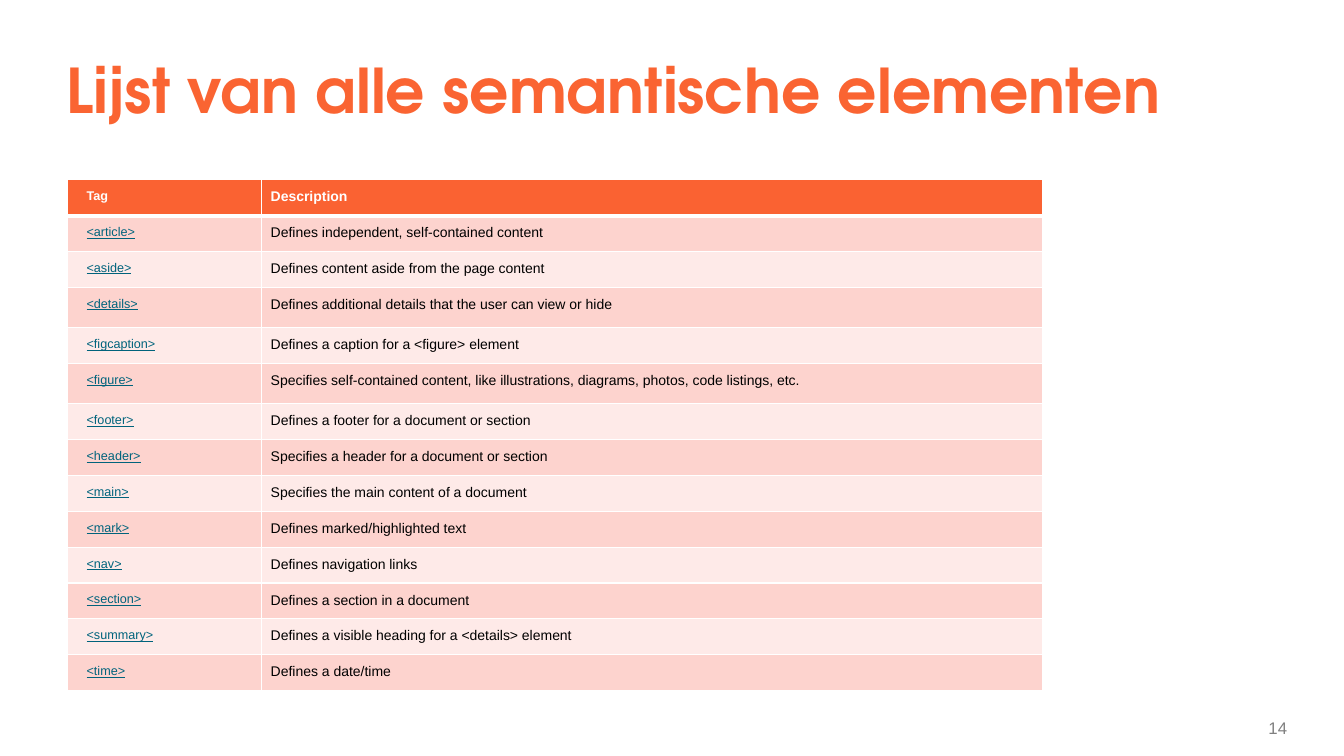
from lxml import etree
from pptx import Presentation
from pptx.dml.color import RGBColor
from pptx.enum.text import MSO_ANCHOR, PP_ALIGN
from pptx.oxml.ns import qn
from pptx.util import Pt

MIDDLE = MSO_ANCHOR.MIDDLE
LEFT, RIGHT = PP_ALIGN.LEFT, PP_ALIGN.RIGHT

# Content
TITLE = "Lijst van alle semantische elementen"
NUMBER = "14"
HEADS = ("Tag", "Description")
TAGS = [
    ("<article>", "Defines independent, self-contained content"),
    ("<aside>", "Defines content aside from the page content"),
    ("<details>", "Defines additional details that the user can view or hide"),
    ("<figcaption>", "Defines a caption for a <figure> element"),
    ("<figure>", "Specifies self-contained content, like illustrations, "
                 "diagrams, photos, code listings, etc."),
    ("<footer>", "Defines a footer for a document or section"),
    ("<header>", "Specifies a header for a document or section"),
    ("<main>", "Specifies the main content of a document"),
    ("<mark>", "Defines marked/highlighted text"),
    ("<nav>", "Defines navigation links"),
    ("<section>", "Defines a section in a document"),
    ("<summary>", "Defines a visible heading for a <details> element"),
    ("<time>", "Defines a date/time"),
]
TALL = {"<details>", "<figure>"}

# Theme
THEME = {
    "title": "FA6432", "head": "FA6232", "bands": ("FEEAE8", "FDD3CE"),
    "link": "00637C", "text": "000000", "white": "FFFFFF", "grey": "808080",
    "face": "TeX Gyre Adventor", "body": "Arial",
    "big": 44, "small": 12, "sizes": (9, 10),
}

# Table measures in points
COLS = (138.2, 558)
ROW, HIGH = 25.6, 28.8
PAD, INDENT = 6.7, 13.4
THIN, THICK = 1, 3


def write(frame, text, size, color, font=THEME["body"], bold=False,
          line=False, align=LEFT, space=None):
    para = frame.paragraphs[0]
    para.alignment = align
    if space:
        para.line_spacing = space
    run = para.add_run()
    run.text = text
    run.font.size = Pt(size)
    run.font.name = font
    run.font.bold = bold
    run.font.underline = line
    run.font.color.rgb = RGBColor.from_string(color)


def add_box(slide, left, top, width, height, inset):
    box = slide.shapes.add_textbox(Pt(left), Pt(top), Pt(width), Pt(height))
    frame = box.text_frame
    frame.word_wrap = True
    frame.vertical_anchor = MIDDLE
    frame.margin_right = Pt(inset)
    return frame


def set_edges(cell, top, bottom):
    props = cell._tc.get_or_add_tcPr()
    edges = {"a:lnL": THIN, "a:lnR": THIN, "a:lnT": top, "a:lnB": bottom}
    for place, (name, width) in enumerate(edges.items()):
        edge = etree.Element(qn(name), w=str(Pt(width)))
        fill = etree.SubElement(edge, qn("a:solidFill"))
        etree.SubElement(fill, qn("a:srgbClr"), val=THEME["white"])
        props.insert(place, edge)


def add_tags(slide):
    lines = [HEADS] + TAGS
    highs = [HIGH if tag in TALL else ROW for tag, _ in lines]
    table = slide.shapes.add_table(
        len(lines), len(COLS), Pt(48.5), Pt(128.5),
        Pt(sum(COLS)), Pt(sum(highs))).table
    for col, width in zip(table.columns, COLS):
        col.width = Pt(width)
    for row, line in enumerate(lines):
        table.rows[row].height = Pt(highs[row])
        head = row == 0
        fill = THEME["head"] if head else THEME["bands"][row % 2]
        for col, text in enumerate(line):
            cell = table.cell(row, col)
            cell.margin_left = Pt(PAD if col else INDENT)
            cell.margin_right = cell.margin_top = cell.margin_bottom = Pt(PAD)
            cell.fill.solid()
            cell.fill.fore_color.rgb = RGBColor.from_string(fill)
            set_edges(cell, THICK if row == 1 else THIN,
                      THICK if head else THIN)
            link = not head and col == 0
            color = THEME["white" if head else "link" if link else "text"]
            write(cell.text_frame, text, THEME["sizes"][col], color,
                  bold=head, line=link)


def main():
    deck = Presentation()
    deck.slide_width, deck.slide_height = Pt(960), Pt(540)
    slide = deck.slides.add_slide(deck.slide_layouts[6])

    # Title
    write(add_box(slide, 40.5, 23.8, 878.4, 87.8, 7.2), TITLE, THEME["big"],
          THEME["title"], font=THEME["face"], bold=True, space=0.85)

    # Table of tags
    add_tags(slide)

    # Slide number
    write(add_box(slide, 871.2, 509, 48.2, 21.6, 0), NUMBER, THEME["small"],
          THEME["grey"], align=RIGHT)

    deck.save("out.pptx")


if __name__ == "__main__":
    main()
